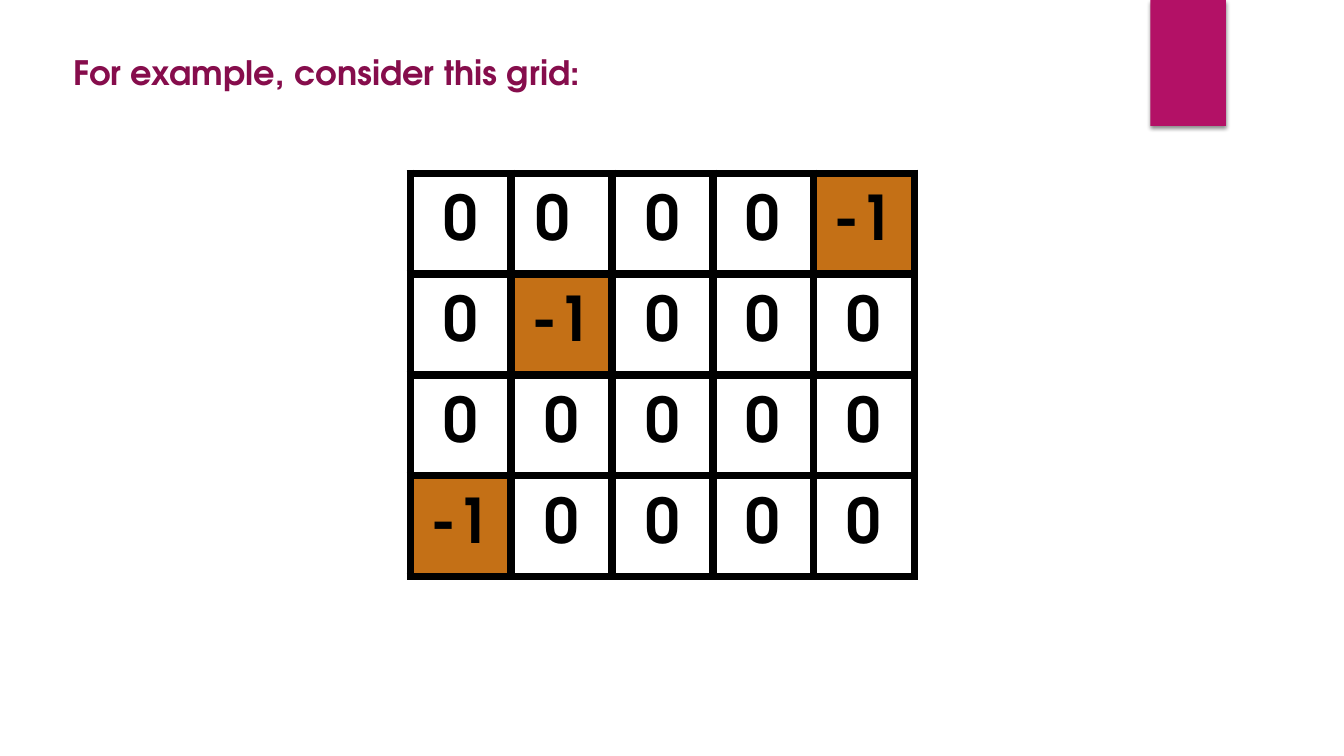
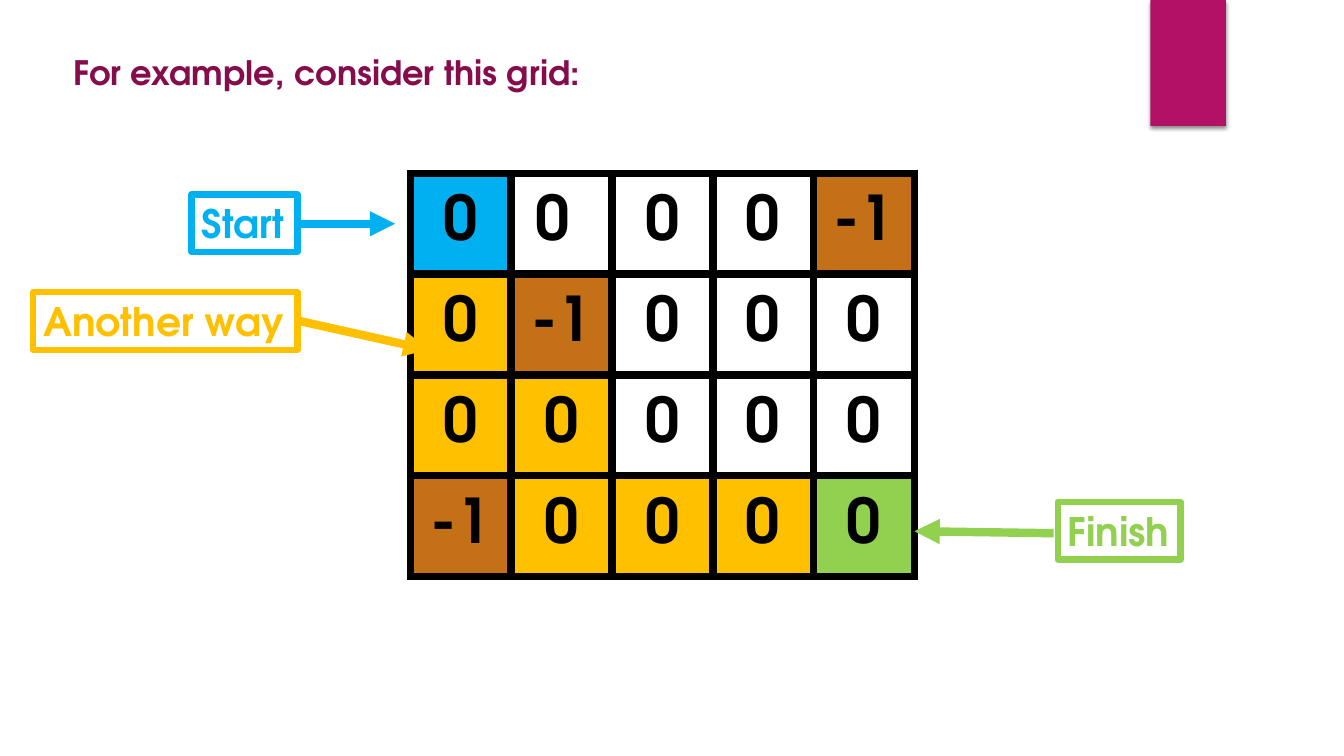
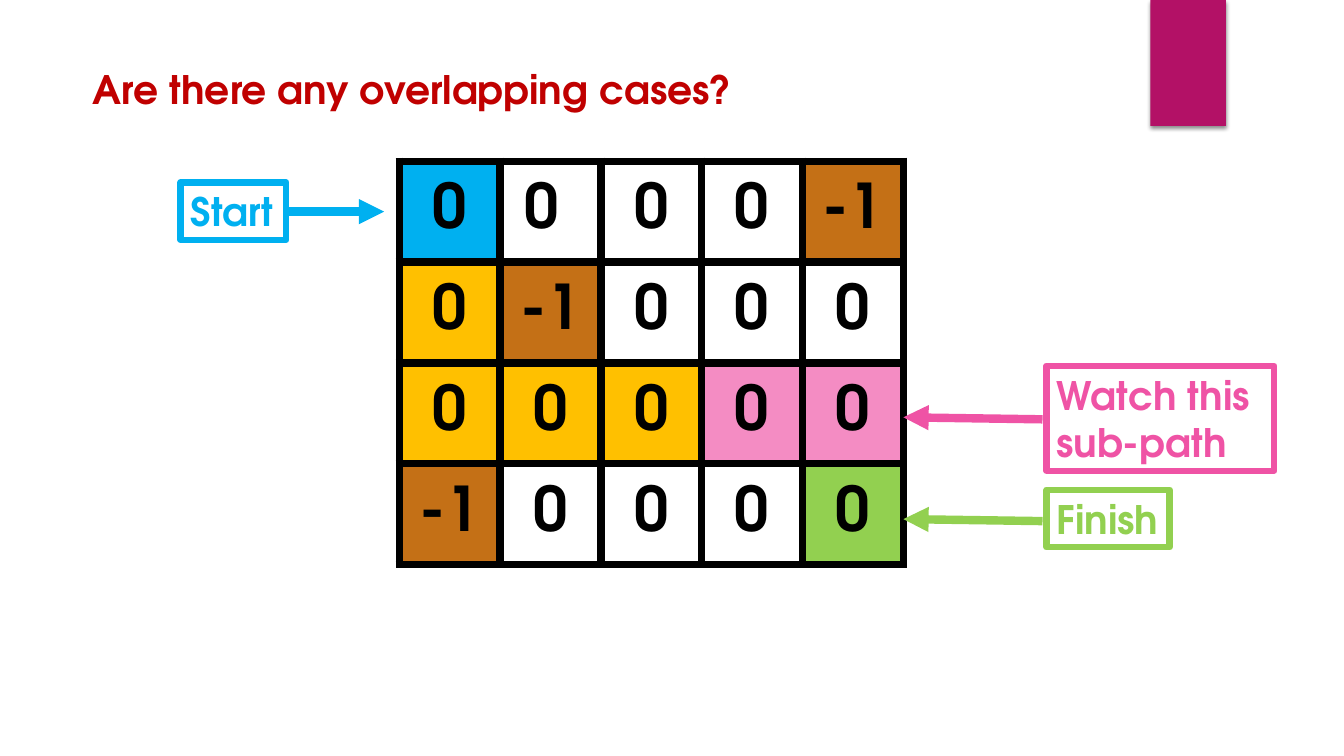
from lxml import etree
from pptx import Presentation, util as u
from pptx.dml.color import RGBColor
from pptx.enum import shapes, text
from pptx.oxml.ns import qn

FONT = "TeX Gyre Adventor"
BLACK = RGBColor(0x00, 0x00, 0x00)
WHITE = RGBColor(0xFF, 0xFF, 0xFF)
MAGENTA = RGBColor(0xB3, 0x11, 0x66)
PLUM = RGBColor(0x86, 0x0D, 0x4C)
RED = RGBColor(0xC0, 0x00, 0x00)
BROWN = RGBColor(0xC4, 0x70, 0x16)
BLUE = RGBColor(0x00, 0xB0, 0xF0)
AMBER = RGBColor(0xFF, 0xC0, 0x00)
GREEN = RGBColor(0x92, 0xD0, 0x50)
PINK = RGBColor(0xEF, 0x53, 0xA5)
LIGHT_PINK = RGBColor(0xF4, 0x8C, 0xC3)

CELL = 1  # inches; every cell is a square
VALUES = [
    ["0", "0 ", "0", "0", "-1"],
    ["0", "-1", "0", "0", "0"],
    ["0", "0", "0", "0", "0"],
    ["-1", "0", "0", "0", "0"],
]
# One letter per cell
FILLS = {".": WHITE, "x": BROWN, "s": BLUE, "w": AMBER, "f": GREEN, "p": LIGHT_PINK}

# Label boxes and arrows are measured in cells from the grid's top left corner
START = dict(lines=["Start"], color=BLUE, box=(-2.17, 0.21, 1.05, 0.57),
             arrow=(-1.12, 0.5, -0.15, 0.5))
FINISH = dict(lines=["Finish"], color=GREEN, box=(6.42, 3.26, 1.22, 0.57),
              arrow=(6.38, 3.57, 5, 3.55))
DETOUR = dict(lines=["Another way"], color=AMBER, box=(-3.74, 1.18, 2.62, 0.57),
              arrow=(-1.12, 1.46, 0.18, 1.75), fill=WHITE)
SUB_PATH = dict(lines=["Watch this", "sub-path"], color=PINK, box=(6.42, 2.03, 2.26, 1.04),
                arrow=(6.38, 2.56, 5, 2.54))

EXAMPLE = dict(lines=["For example, consider this grid:"], box=(0.63, 0.47, 5.29, 0.5),
               size=24, color=PLUM)
OVERLAP = dict(lines=["Are there any overlapping cases?"], box=(0.82, 0.6, 6.65, 0.57),
               size=28, color=RED)

SLIDES = [
    dict(title=EXAMPLE, origin=(4.07, 1.72), labels=[],
         fills=["....x", ".x...", ".....", "x...."]),
    dict(title=EXAMPLE, origin=(4.07, 1.72), labels=[START, FINISH, DETOUR],
         fills=["s...x", "wx...", "ww...", "xwwwf"]),
    dict(title=OVERLAP, origin=(3.96, 1.6), labels=[START, FINISH, SUB_PATH],
         fills=["s...x", "wx...", "wwwpp", "x...f"]),
]


def inches(values):
    return [u.Inches(v) for v in values]


def write(tf, lines, size, color, align=text.PP_ALIGN.LEFT):
    for i, line in enumerate(lines):
        p = tf.add_paragraph() if i else tf.paragraphs[0]
        p.alignment = align
        r = p.add_run()
        r.text = line
        f = r.font
        f.name, f.size, f.bold = FONT, u.Pt(size), True
        f.color.rgb = color


def fit_to_text(tf, wrap):
    tf.word_wrap = wrap
    tf.auto_size = text.MSO_AUTO_SIZE.SHAPE_TO_FIT_TEXT
    tf.vertical_anchor = text.MSO_ANCHOR.TOP


def add_band(slide):
    """Corner ribbon with a soft shadow below it."""
    sp = slide.shapes.add_shape(shapes.MSO_SHAPE.RECTANGLE, *inches((11.41, 0, 0.75, 1.25)))
    sp.fill.solid()
    sp.fill.fore_color.rgb = MAGENTA
    sp.line.fill.background()
    sp.shadow.inherit = False
    effects = sp.element.spPr.find(qn("a:effectLst"))
    shadow = etree.SubElement(effects, qn("a:outerShdw"), blurRad=str(u.Pt(3)),
                              dist=str(u.Pt(2)), dir="5400000", rotWithShape="0")
    black = etree.SubElement(shadow, qn("a:srgbClr"), val=str(BLACK))
    etree.SubElement(black, qn("a:alpha"), val="45000")


def add_title(slide, lines, box, size, color):
    tf = slide.shapes.add_textbox(*inches(box)).text_frame
    fit_to_text(tf, wrap=False)
    write(tf, lines, size, color)


def set_borders(cell, color, width):
    tc_pr = cell._tc.get_or_add_tcPr()
    for side in ("lnL", "lnR", "lnT", "lnB"):
        ln = etree.SubElement(tc_pr, qn("a:" + side), w=str(u.Pt(width)))
        fill = etree.SubElement(ln, qn("a:solidFill"))
        etree.SubElement(fill, qn("a:srgbClr"), val=str(color))


def add_grid(slide, origin, fills):
    rows, cols = len(VALUES), len(VALUES[0])
    frame = slide.shapes.add_table(rows, cols, *inches((*origin, cols * CELL, rows * CELL)))
    for i, (row, codes) in enumerate(zip(VALUES, fills)):
        for j, (value, code) in enumerate(zip(row, codes)):
            cell = frame.table.cell(i, j)
            set_borders(cell, BLACK, 6)
            cell.fill.solid()
            cell.fill.fore_color.rgb = FILLS[code]
            cell.vertical_anchor = text.MSO_ANCHOR.MIDDLE
            write(cell.text_frame, [value], 44, BLACK, text.PP_ALIGN.CENTER)


def add_arrow(slide, ends, color):
    cxn = slide.shapes.add_connector(shapes.MSO_CONNECTOR.STRAIGHT, *inches(ends))
    cxn.line.color.rgb = color
    cxn.line.width = u.Pt(6)
    etree.SubElement(cxn.get_or_add_ln(), qn("a:tailEnd"), type="triangle")
    etree.SubElement(cxn.element.spPr, qn("a:effectLst"))


def add_label(slide, origin, lines, color, box, arrow, fill=None):
    """Outlined box with an arrow that points into the grid."""
    x, y = origin
    x1, y1, x2, y2 = arrow
    add_arrow(slide, (x + x1, y + y1, x + x2, y + y2), color)
    left, top, width, height = box
    sp = slide.shapes.add_shape(shapes.MSO_SHAPE.RECTANGLE,
                                *inches((x + left, y + top, width, height)))
    sp.shadow.inherit = False
    if fill is None:
        sp.fill.background()
    else:
        sp.fill.solid()
        sp.fill.fore_color.rgb = fill
    sp.line.color.rgb = color
    sp.line.width = u.Pt(4.5)
    fit_to_text(sp.text_frame, wrap=len(lines) > 1)
    write(sp.text_frame, lines, 28, color)


def main():
    prs = Presentation()
    prs.slide_width, prs.slide_height = inches((13.33, 7.5))
    for content in SLIDES:
        slide = prs.slides.add_slide(prs.slide_layouts[6])
        add_band(slide)
        add_title(slide, **content["title"])
        add_grid(slide, content["origin"], content["fills"])
        for label in content["labels"]:
            add_label(slide, content["origin"], **label)
    prs.save("out.pptx")


if __name__ == "__main__":
    main()
